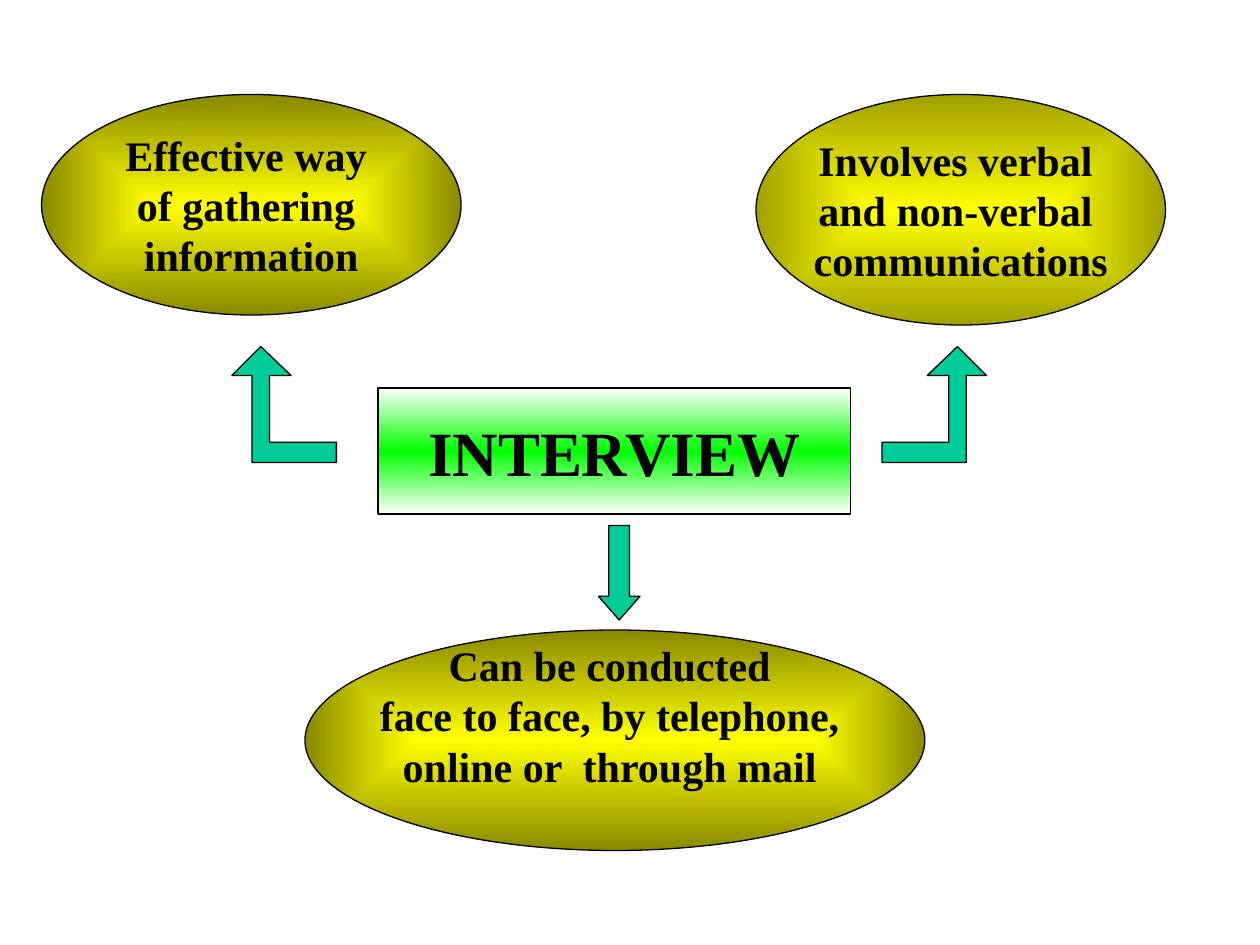
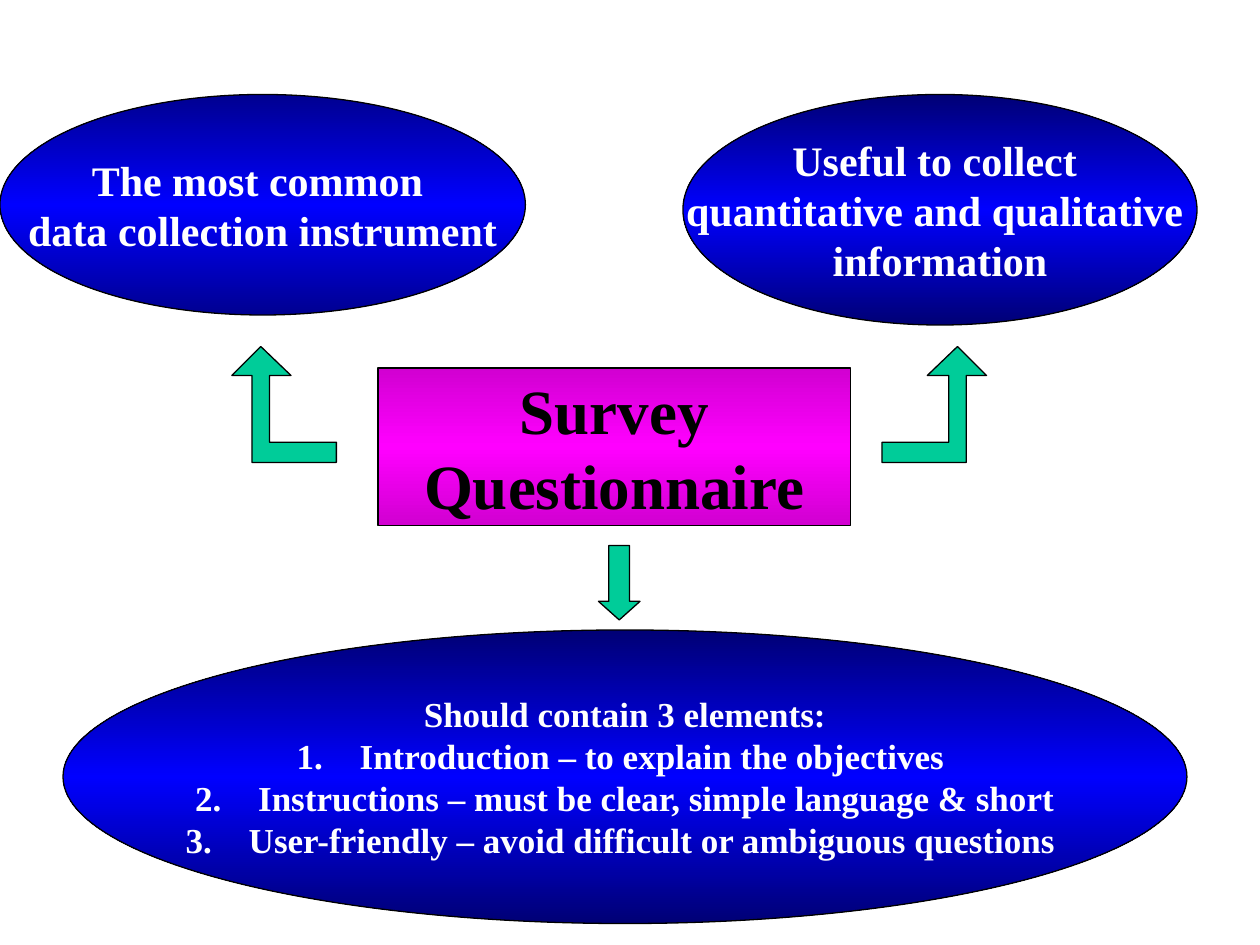
from dataclasses import dataclass

from pptx import Presentation as Deck
from pptx.dml.color import RGBColor as RGB
from pptx.enum.shapes import MSO_SHAPE as Kind
from pptx.enum.text import MSO_ANCHOR as Anchor, MSO_AUTO_SIZE as Fit, PP_ALIGN as Align
from pptx.oxml import parse_xml
from pptx.oxml.ns import nsdecls
from pptx.util import Inches, Pt

BLACK = RGB(0x00, 0x00, 0x00)
WHITE = RGB(0xFF, 0xFF, 0xFF)
GREEN = RGB(0x00, 0xFF, 0x00)
TEAL = RGB(0x00, 0xCC, 0x99)
YELLOW = RGB(0xFF, 0xFF, 0x00)
OLIVE = RGB(0x89, 0x89, 0x00)
MOSS = RGB(0xA1, 0xA1, 0x00)
BLUE = RGB(0x00, 0x00, 0xFF)
NAVY = RGB(0x00, 0x00, 0x91)
INK = RGB(0x00, 0x00, 0x75)
PINK = RGB(0xFF, 0x00, 0xFF)
PLUM = RGB(0xD1, 0x00, 0xD1)

FONT = {"name": "Times New Roman", "bold": True}
FRAME = {"word_wrap": False, "auto_size": Fit.NONE, "vertical_anchor": Anchor.MIDDLE}
ARROW_TOP, ARROW_END = 2.75, 4.92
MIRROR = 9.67  # sum of the x values of matching points on both bent arrows
BEND = [(7, 3.51), (7.53, 3.51), (7.53, 2.98), (7.36, 2.98), (7.6, ARROW_TOP),
        (7.83, 2.98), (7.67, 2.98), (7.67, 3.67), (7, 3.67)]


@dataclass
class Blend:
    core: RGB
    edge: RGB
    boxed: bool = False


@dataclass
class Bubble:
    box: tuple[float, float, float, float]
    blend: Blend
    lines: list[str]
    ink: RGB
    size: int = 24
    lift: float = 0
    listed: bool = False


@dataclass
class Topic:
    box: tuple[float, float, float, float]
    blend: Blend
    lines: list[str]
    arrow: float
    bubbles: list[Bubble]


def assign(item, values: dict) -> None:
    for key, value in values.items():
        setattr(item, key, value)


def place(shape, box: tuple) -> None:
    assign(shape, dict(zip(("left", "top", "width", "height"), map(Inches, box))))


def outline(shape) -> None:
    shape.line.color.rgb = BLACK
    shape.line.width = Pt(0.75)
    shape.shadow.inherit = False


def shade(shape, blend: Blend) -> None:
    """Blend from the core to the edge, in a box or up and down."""
    if blend.boxed:
        stops = [(0, blend.core), (100, blend.edge)]
        course = ('<a:path path="rect"><a:fillToRect l="50000" t="50000" '
                  'r="50000" b="50000"/></a:path>')
    else:
        stops = [(0, blend.edge), (50, blend.core), (100, blend.edge)]
        course = '<a:lin ang="5400000" scaled="1"/>'
    marks = "".join(f'<a:gs pos="{pos * 1000}"><a:srgbClr val="{tone}"/></a:gs>'
                    for pos, tone in stops)
    shape.element.spPr.append(parse_xml(
        f'<a:gradFill {nsdecls("a")} rotWithShape="1">'
        f'<a:gsLst>{marks}</a:gsLst>{course}</a:gradFill>'))


def write(shape, lines: list[str], size: int, ink: RGB) -> None:
    frame = shape.text_frame
    assign(frame, FRAME)
    frame.text = "\n".join(lines)
    for para in frame.paragraphs:
        para.alignment = Align.CENTER
        for run in para.runs:
            assign(run.font, {**FONT, "size": Pt(size)})
            run.font.color.rgb = ink


def number(shape) -> None:
    """Indent all lines and number those after the first."""
    for row, para in enumerate(shape.text_frame.paragraphs):
        props = para._p.get_or_add_pPr()
        props.set("marL", str(Inches(0.5)))
        props.set("indent", str(-Inches(0.5)))
        if row:
            props.append(parse_xml(f'<a:buAutoNum {nsdecls("a")} type="arabicPeriod"/>'))


def add_bubble(slide, bubble: Bubble) -> None:
    shape = slide.shapes.add_shape(Kind.OVAL, *map(Inches, bubble.box))
    shade(shape, bubble.blend)
    outline(shape)
    write(shape, bubble.lines, bubble.size, bubble.ink)
    shape.text_frame.margin_bottom = Inches(0.05 + bubble.lift)
    if bubble.listed:
        number(shape)


def add_title(slide, topic: Topic) -> None:
    title = slide.shapes.title
    place(title, topic.box)
    shade(title, topic.blend)
    outline(title)
    write(title, topic.lines, 36, BLACK)
    assign(title.text_frame, {"word_wrap": True, "margin_top": 0, "margin_bottom": 0})


def add_arrows(slide, top: float) -> None:
    # Bent arrows to the two upper bubbles
    arrows = []
    for points in (BEND, [(MIRROR - x, y) for x, y in BEND]):
        first, *rest = [(Inches(x), Inches(y)) for x, y in points]
        path = slide.shapes.build_freeform(*first)
        path.add_line_segments(rest, close=True)
        arrows.append(path.convert_to_shape())

    # Down arrow, whose head takes a quarter of its length
    width, height = 0.33, ARROW_END - top
    down = slide.shapes.add_shape(
        Kind.DOWN_ARROW, *map(Inches, (4.75, top, width, height)))
    down.adjustments[1] = height / width / 4
    for arrow in arrows + [down]:
        arrow.fill.solid()
        arrow.fill.fore_color.rgb = TEAL
        outline(arrow)


GOLD = Blend(YELLOW, OLIVE, boxed=True)
DEEP = Blend(BLUE, INK)
TOPICS = [
    Topic((3, 3.08, 3.75, 1), Blend(GREEN, WHITE), ["INTERVIEW"], 4.17, [
        Bubble((0.33, 0.75, 3.33, 1.75), GOLD,
               ["Effective way ", "of gathering ", "information"], BLACK),
        Bubble((6, 0.75, 3.25, 1.83), Blend(YELLOW, MOSS, boxed=True),
               ["Involves verbal ", "and non-verbal ", "communications"], BLACK),
        Bubble((2.42, 5, 4.92, 1.75), GOLD,
               ["Can be conducted ", "face to face, by telephone, ",
                "online or  through mail "], BLACK, lift=0.4),
    ]),
    Topic((3, 2.92, 3.75, 1.25), Blend(PINK, PLUM), ["Survey", "Questionnaire"], 4.33, [
        Bubble((0, 0.75, 4.17, 1.75), Blend(BLUE, NAVY),
               ["The most common ", "data collection instrument"], WHITE),
        Bubble((5.42, 0.75, 4.08, 1.83), DEEP,
               ["Useful to collect ", "quantitative and qualitative ",
                "information"], WHITE),
        Bubble((0.5, 5, 8.92, 2.33), DEEP,
               ["Should contain 3 elements:",
                "Introduction – to explain the objectives ",
                "Instructions – must be clear, simple language & short",
                "User-friendly – avoid difficult or ambiguous questions "],
               WHITE, size=20, listed=True),
    ]),
]


def main() -> None:
    deck = Deck()
    assign(deck, {"slide_width": Inches(10), "slide_height": Inches(7.5)})
    for topic in TOPICS:
        slide = deck.slides.add_slide(deck.slide_layouts[5])
        add_title(slide, topic)
        for bubble in topic.bubbles:
            add_bubble(slide, bubble)
        add_arrows(slide, topic.arrow)
    deck.save("out.pptx")


if __name__ == "__main__":
    main()
